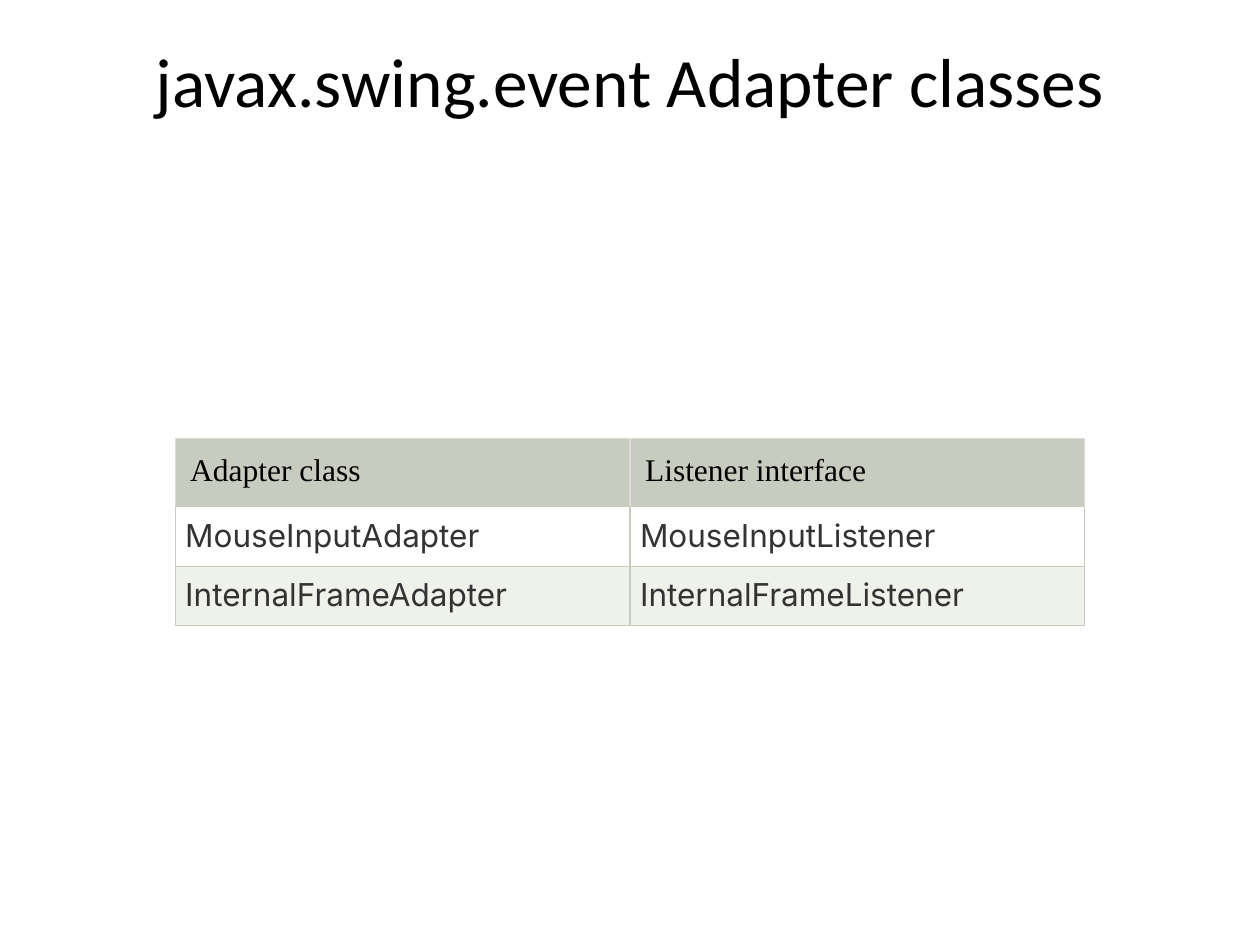
from lxml import etree
from pptx import Presentation
from pptx import util as u
from pptx.dml.color import RGBColor
from pptx.enum import text
from pptx.oxml import ns

WIDTH, HEIGHT = 10, 7.5
SAGE, PALE, WHITE, EDGE = "C7CCBE", "EFF1EB", "FFFFFF", "E0DAD9"
BLACK, GREY = "000000", "333333"


def color(value):
    return RGBColor.from_string(value)


def set_all(obj, values):
    for name, value in values.items():
        setattr(obj, name, value)


class Deck:
    """Holds the style and the current slide; lengths are shares of its size."""

    styles = {
        "title": dict(font="Calibri", size=39.6, color=BLACK,
                      align=text.PP_ALIGN.CENTER, inset=0),
        "head": dict(font="Times New Roman", size=18, color=BLACK,
                     align=text.PP_ALIGN.LEFT, inset=0.12),
        "body": dict(font="Inter", size=18, color=GREY,
                     align=text.PP_ALIGN.JUSTIFY, inset=0.08),
    }

    def __init__(self):
        self.prs = Presentation()
        set_all(self.prs, dict(slide_width=u.Inches(WIDTH),
                               slide_height=u.Inches(HEIGHT)))
        self.s = self.prs.slides.add_slide(self.prs.slide_layouts[6])

    def place(self, x, y, w, h):
        pw, ph = self.prs.slide_width, self.prs.slide_height
        return [round(v) for v in (x * pw, y * ph, w * pw, h * ph)]

    def add_words(self, holder, tf, words, style):
        """Fill a text box or a cell; the holder owns the insets."""
        f = self.styles[style]
        set_all(holder, {f"margin_{side}": u.Inches(f["inset"])
                         for side in ("left", "top", "right", "bottom")})
        tf.word_wrap = True
        p = tf.paragraphs[0]
        p.alignment = f["align"]
        r = p.add_run()
        r.text = words
        set_all(r.font, dict(name=f["font"], size=u.Pt(f["size"])))
        r.font.color.rgb = color(f["color"])

    def title(self, words, box):
        tf = self.s.shapes.add_textbox(*self.place(*box)).text_frame
        tf.vertical_anchor = text.MSO_ANCHOR.TOP
        self.add_words(tf, tf, words, "title")

    def borders(self, cell, colors):
        """Add left, right, top and bottom lines ahead of the cell's fill."""
        tc_pr = cell._tc.get_or_add_tcPr()
        for i, (side, value) in enumerate(zip("LRTB", colors)):
            ln = etree.Element(ns.qn(f"a:ln{side}"), w=str(u.Pt(0.75)))
            fill = etree.SubElement(ln, ns.qn("a:solidFill"))
            etree.SubElement(fill, ns.qn("a:srgbClr"), val=value)
            tc_pr.insert(i, ln)

    def table(self, rows, fills, shares, box):
        """Equal columns; each row takes its share of the height."""
        x, y, w, h = self.place(*box)
        cols = len(rows[0])
        t = self.s.shapes.add_table(len(rows), cols, x, y, w, h).table
        for col in t.columns:
            col.width = w // cols
        for i, (row, fill, share) in enumerate(zip(rows, fills, shares)):
            t.rows[i].height = round(h * share)
            for j, words in enumerate(row):
                cell = t.cell(i, j)
                self.add_words(cell, cell.text_frame, words,
                               "body" if i else "head")
                cell.fill.solid()
                cell.fill.fore_color.rgb = color(fill)
                edge = SAGE if i else EDGE
                self.borders(cell, (edge, edge, edge, SAGE))


def main():
    deck = Deck()

    # Heading
    deck.title("javax.swing.event Adapter classes", (0.05, 0.04, 0.9, 0.17))

    # Adapters and the listeners they implement
    rows = [("Adapter class", "Listener interface")]
    rows += [(f"{name}Adapter", f"{name}Listener")
             for name in ("MouseInput", "InternalFrame")]
    deck.table(rows, (SAGE, WHITE, PALE), (0.36, 0.32, 0.32),
               (1.39 / WIDTH, 3.48 / HEIGHT, 7.22 / WIDTH, 1.48 / HEIGHT))

    deck.prs.save("out.pptx")


if __name__ == "__main__":
    main()
